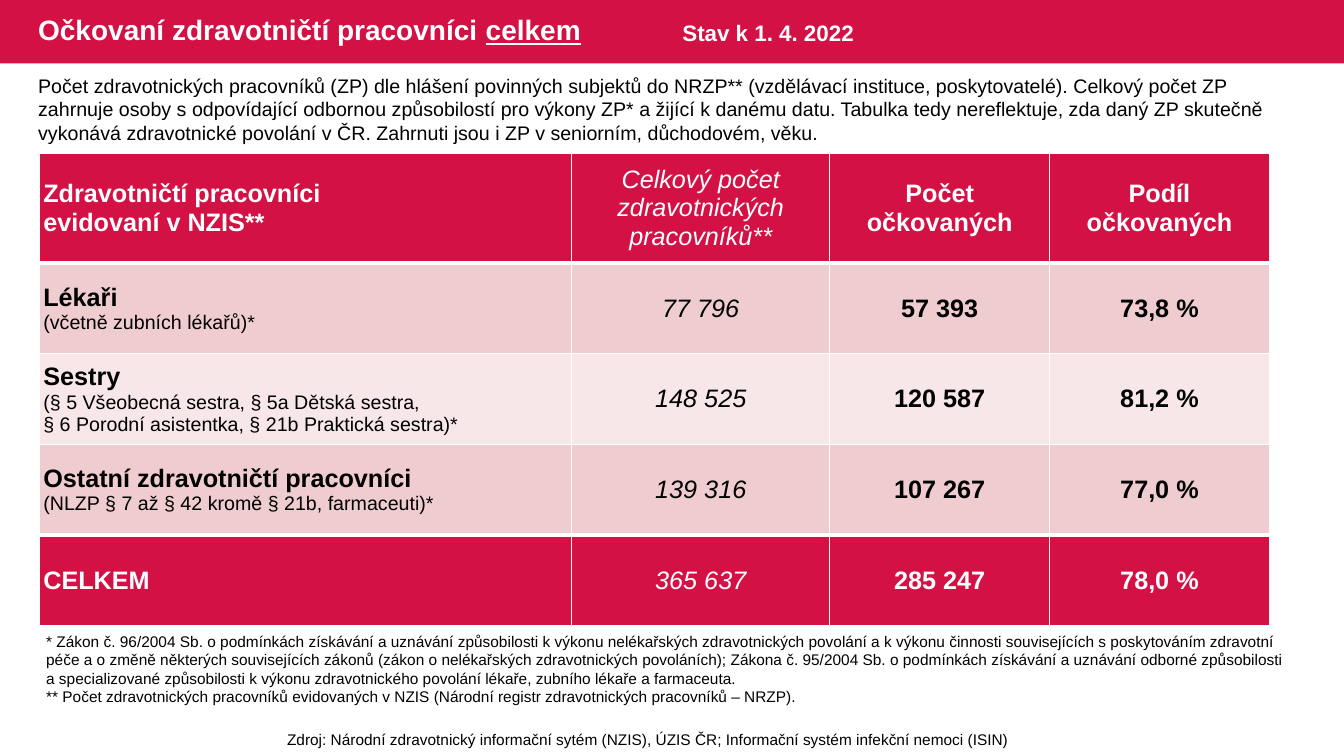
import pptx
import pptx.util
import pptx.dml.color
import pptx.enum.shapes
import pptx.enum.text
import pptx.oxml
import pptx.oxml.ns
from dataclasses import dataclass
from pptx.util import Inches


@dataclass(frozen=True)
class Theme:
    font: str = "Arial"
    crimson: str = "D31145"
    pink: str = "EFCCCF"
    pale: str = "F7E7E9"
    white: str = "FFFFFF"
    black: str = "000000"
    title: int = 20
    date: int = 16
    table: int = 18
    body: int = 14
    note: int = 11


theme = Theme()
rgb = pptx.dml.color.RGBColor.from_string
align = pptx.enum.text.PP_ALIGN
middle = pptx.enum.text.MSO_ANCHOR.MIDDLE


def write(frame, lines, size, colour, bold=False, italic=False, alignment=align.LEFT):
    """Fill a text frame with one paragraph per line, all in one style."""
    for index, line in enumerate(lines):
        para = frame.paragraphs[0] if index == 0 else frame.add_paragraph()
        para.text = line
        para.alignment = alignment
        para.font.name = theme.font
        para.font.size = pptx.util.Pt(size)
        para.font.bold = bold
        para.font.italic = italic
        para.font.color.rgb = rgb(colour)


def add_text(left, top, width, height, lines, size, colour, **style):
    box = page.shapes.add_textbox(Inches(left), Inches(top), Inches(width), Inches(height))
    box.text_frame.word_wrap = True
    write(box.text_frame, lines, size, colour, **style)
    return box.text_frame


deck = pptx.Presentation()
deck.slide_width = Inches(13.33)
deck.slide_height = Inches(7.5)
page = deck.slides.add_slide(deck.slide_layouts[6])

# Header band
band = page.shapes.add_shape(
    pptx.enum.shapes.MSO_SHAPE.RECTANGLE, 0, 0, deck.slide_width, Inches(0.63))
band.shadow.inherit = False
band.fill.solid()
band.fill.fore_color.rgb = rgb(theme.crimson)
band.line.fill.background()

title = add_text(0.28, 0, 8.13, 0.63, ["Očkovaní zdravotničtí pracovníci "],
                 theme.title, theme.white, bold=True)
title.vertical_anchor = middle
title.paragraphs[0].line_spacing = 0.9
span = title.paragraphs[0].add_run()
span.text = "celkem"
span.font.underline = True

# Table
head = ["Celkový počet zdravotnických pracovníků**", "Počet očkovaných", "Podíl očkovaných"]
rows = [
    (["Zdravotničtí pracovníci", "evidovaní v NZIS**"], head, theme.crimson),
    (["Lékaři", "(včetně zubních lékařů)*"], ["77 796", "57 393", "73,8 %"], theme.pink),
    (["Sestry", "(§ 5 Všeobecná sestra, § 5a Dětská sestra,",
      "§ 6 Porodní asistentka, § 21b Praktická sestra)*"],
     ["148 525", "120 587", "81,2 %"], theme.pale),
    (["Ostatní zdravotničtí pracovníci", "(NLZP § 7 až § 42 kromě § 21b, farmaceuti)*"],
     ["139 316", "107 267", "77,0 %"], theme.pink),
    (["CELKEM"], ["365 637", "285 247", "78,0 %"], theme.crimson),
]
table = page.shapes.add_table(
    len(rows), 4, Inches(0.39), Inches(1.52), Inches(12.2), Inches(4.69)).table
for column, width in zip(table.columns, [5.28, 2.56, 2.18, 2.18]):
    column.width = Inches(width)

for r, (label, values, fill) in enumerate(rows):
    table.rows[r].height = Inches(1.09 if r == 0 else 0.9)
    colour = theme.white if fill == theme.crimson else theme.black
    borders = {"L": 1, "R": 1, "T": 3 if r in (1, 4) else 1, "B": 3 if r in (0, 3) else 1}
    for c, lines in enumerate([label] + [[value] for value in values]):
        cell = table.cell(r, c)
        cell.vertical_anchor = middle
        cell.margin_left = cell.margin_right = Inches(0.04 if r == 0 or c == 0 else 0.01)
        cell.margin_top = cell.margin_bottom = 0
        write(cell.text_frame, lines, theme.table, colour, bold=c != 1, italic=c == 1,
              alignment=align.CENTER if c else align.LEFT)
        if c == 0 and r > 0:
            for para in cell.text_frame.paragraphs[1:]:
                para.font.size = pptx.util.Pt(theme.body)
                para.font.bold = False
        properties = cell._tc.get_or_add_tcPr()
        for side, points in borders.items():
            properties.append(pptx.oxml.parse_xml(
                f'<a:ln{side} {pptx.oxml.ns.nsdecls("a")} w="{pptx.util.Pt(points)}">'
                f'<a:solidFill><a:srgbClr val="{theme.white}"/></a:solidFill></a:ln{side}>'))
        cell.fill.solid()
        cell.fill.fore_color.rgb = rgb(fill)

# Date, notes, introduction and source
add_text(6.67, 0.14, 2.2, 0.37, ["Stav k 1. 4. 2022"], theme.date, theme.white, bold=True)
add_text(0.36, 6.22, 12.53, 0.84, [
    "* Zákon č. 96/2004 Sb. o podmínkách získávání a uznávání způsobilosti k výkonu "
    "nelékařských zdravotnických povolání a k výkonu činnosti souvisejících s poskytováním "
    "zdravotní péče a o změně některých souvisejících zákonů (zákon o nelékařských "
    "zdravotnických povoláních); Zákona č. 95/2004 Sb. o podmínkách získávání a uznávání "
    "odborné způsobilosti a specializované způsobilosti k výkonu zdravotnického povolání "
    "lékaře, zubního lékaře a farmaceuta.",
    "** Počet zdravotnických pracovníků evidovaných v NZIS (Národní registr zdravotnických "
    "pracovníků – NRZP).",
], theme.note, theme.black)
add_text(0.28, 0.68, 12.79, 0.81, [
    "Počet zdravotnických pracovníků (ZP) dle hlášení povinných subjektů do NRZP** "
    "(vzdělávací instituce, poskytovatelé). Celkový počet ZP zahrnuje osoby s odpovídající "
    "odbornou způsobilostí pro výkony ZP* a žijící k danému datu. Tabulka tedy nereflektuje, "
    "zda daný ZP skutečně vykonává zdravotnické povolání v ČR. Zahrnuti jsou i ZP v seniorním, "
    "důchodovém, věku.",
], theme.body, theme.black)
add_text(1.9, 7.19, 9.06, 0.29, [
    "Zdroj: Národní zdravotnický informační sytém (NZIS), ÚZIS ČR; "
    "Informační systém infekční nemoci (ISIN)",
], theme.note, theme.black, alignment=align.CENTER)

deck.save("out.pptx")
